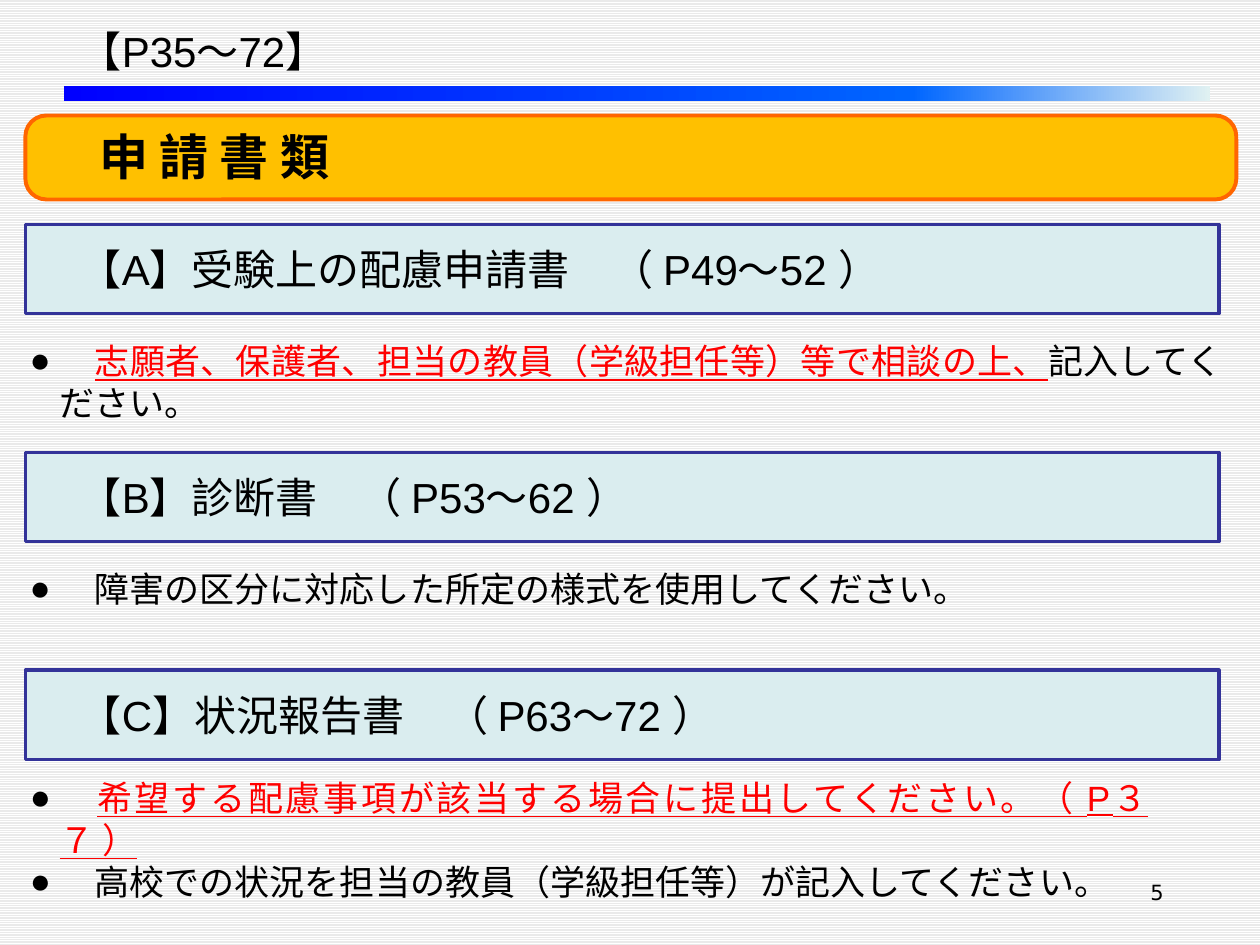
from copy import deepcopy
from lxml.etree import SubElement
from pptx import Presentation
from pptx.dml.color import RGBColor
from pptx.enum.dml import MSO_PATTERN
from pptx.enum.shapes import MSO_SHAPE
from pptx.enum.text import MSO_ANCHOR, PP_ALIGN
from pptx.oxml.ns import qn
from pptx.util import Pt

CJK = "Noto Sans CJK JP"
RED = "FF0000"


def rgb(value):
    return RGBColor.from_string(value)


def add_run(p, text, size, color="000000", font="Arial", bold=False, underline=False):
    r = p.add_run()
    r.text = text
    r.font.size = Pt(size)
    r.font.name = font
    r.font.bold = bold
    r.font.underline = underline
    r.font.color.rgb = rgb(color)
    SubElement(r.font._element, qn("a:ea")).set("typeface", CJK)


def add_box(s, box, kind, fill, line=None, width=0):
    sp = s.shapes.add_shape(kind, *map(Pt, box))
    sp.shadow.inherit = False
    if fill:
        sp.fill.solid()
        sp.fill.fore_color.rgb = rgb(fill)
    if line:
        sp.line.color.rgb = rgb(line)
        sp.line.width = Pt(width)
    else:
        sp.line.fill.background()
    return sp


def add_text(s, box, anchor=MSO_ANCHOR.TOP):
    tf = s.shapes.add_textbox(*map(Pt, box)).text_frame
    tf.word_wrap = True
    tf.vertical_anchor = anchor
    return tf


def add_rule(s, box):
    sp = add_box(s, box, MSO_SHAPE.RECTANGLE, None)
    sp.fill.gradient()
    sp.fill.gradient_angle = 0
    first = sp._element.spPr.find(".//" + qn("a:gs"))
    first.addnext(deepcopy(first))
    stops = [(0, "0000FF"), (0.74, "0066FF"), (1, "E0F1F2")]
    for stop, (position, color) in zip(sp.fill.gradient_stops, stops):
        stop.position = position
        stop.color.rgb = rgb(color)


def add_header(s, left, top, width):
    tf = add_text(s, (left + 24, top, 220, 52), MSO_ANCHOR.MIDDLE)
    add_run(tf.paragraphs[0], "【P35～72】", 24)
    add_rule(s, (left + 22, top + 46, width - 37, 9))
    sp = add_box(s, (left, top + 63, width, 48), MSO_SHAPE.ROUNDED_RECTANGLE,
                 "FFC000", "FF6600", 2.25)
    sp.adjustments[0] = 0.25
    tf = sp.text_frame
    tf.vertical_anchor = MSO_ANCHOR.BOTTOM
    p = tf.paragraphs[0]
    p.alignment = PP_ALIGN.LEFT
    add_run(p, "　", 32, font=CJK, bold=True)
    add_run(p, "申 請 書 類", 28, font=CJK, bold=True)


def add_bullets(s, box, items):
    tf = add_text(s, box)
    tf.margin_left = Pt(17)
    for i, runs in enumerate(items):
        p = tf.paragraphs[0] if i == 0 else tf.add_paragraph()
        p.alignment = PP_ALIGN.JUSTIFY
        p.line_spacing = Pt(24)
        pPr = p._p.get_or_add_pPr()
        pPr.set("marL", str(Pt(17)))
        pPr.set("indent", str(-Pt(17)))
        SubElement(pPr, qn("a:buFont")).set("typeface", "Arial")
        SubElement(pPr, qn("a:buChar")).set("char", "●")
        for text, color in runs:
            add_run(p, text, 20, color, underline=color == RED)


def add_section(s, box, title, gap, text_width, items):
    left, top, width, height = box
    sp = add_box(s, box, MSO_SHAPE.RECTANGLE, "DAEDEF", "333399", 2)
    tf = sp.text_frame
    tf.vertical_anchor = MSO_ANCHOR.MIDDLE
    p = tf.paragraphs[0]
    p.alignment = PP_ALIGN.LEFT
    add_run(p, title, 24)
    add_bullets(s, (0, top + height + gap, text_width, 26 * len(items) + 8), items)


def add_number(s, box):
    p = add_text(s, box).paragraphs[0]
    p.alignment = PP_ALIGN.RIGHT
    add_run(p, "5", 12, font="DejaVu Sans")


SECTIONS = [
    (128.2, "　【A】受験上の配慮申請書　（ P49～52 ）", 11.5, 705.6, [
        [("　", "000000"),
         ("志願者、保護者、担当の教員（学級担任等）等で相談の上、", RED),
         ("記入してください。", "000000")]]),
    (258.5, "　【B】診断書　（ P53～62 ）", 11.5, 689, [
        [("　障害の区分に対応した所定の様式を使用してください。", "000000")]]),
    (383, "　【C】状況報告書　（ P63～72 ）", 6, 663, [
        [("　", "000000"),
         ("希望する配慮事項が該当する場合に提出してください。（ P３７ ）", RED)],
        [("　高校での状況を担当の教員（学級担任等）が記入してください。", "000000")]]),
]


def main():
    prs = Presentation()
    prs.slide_width, prs.slide_height = Pt(720), Pt(540)
    s = prs.slides.add_slide(prs.slide_layouts[6])
    fill = s.background.fill
    fill.patterned()
    fill.pattern = MSO_PATTERN.LIGHT_HORIZONTAL
    fill.fore_color.rgb = rgb("FFFFFF")
    fill.back_color.rgb = rgb("EAEAEA")
    add_header(s, 14.5, 3, 692)
    for top, title, gap, text_width, items in SECTIONS:
        add_section(s, (14.5, top, 682, 51), title, gap, text_width, items)
    add_number(s, (516, 499, 156, 37))
    prs.save("out.pptx")


if __name__ == "__main__":
    main()
